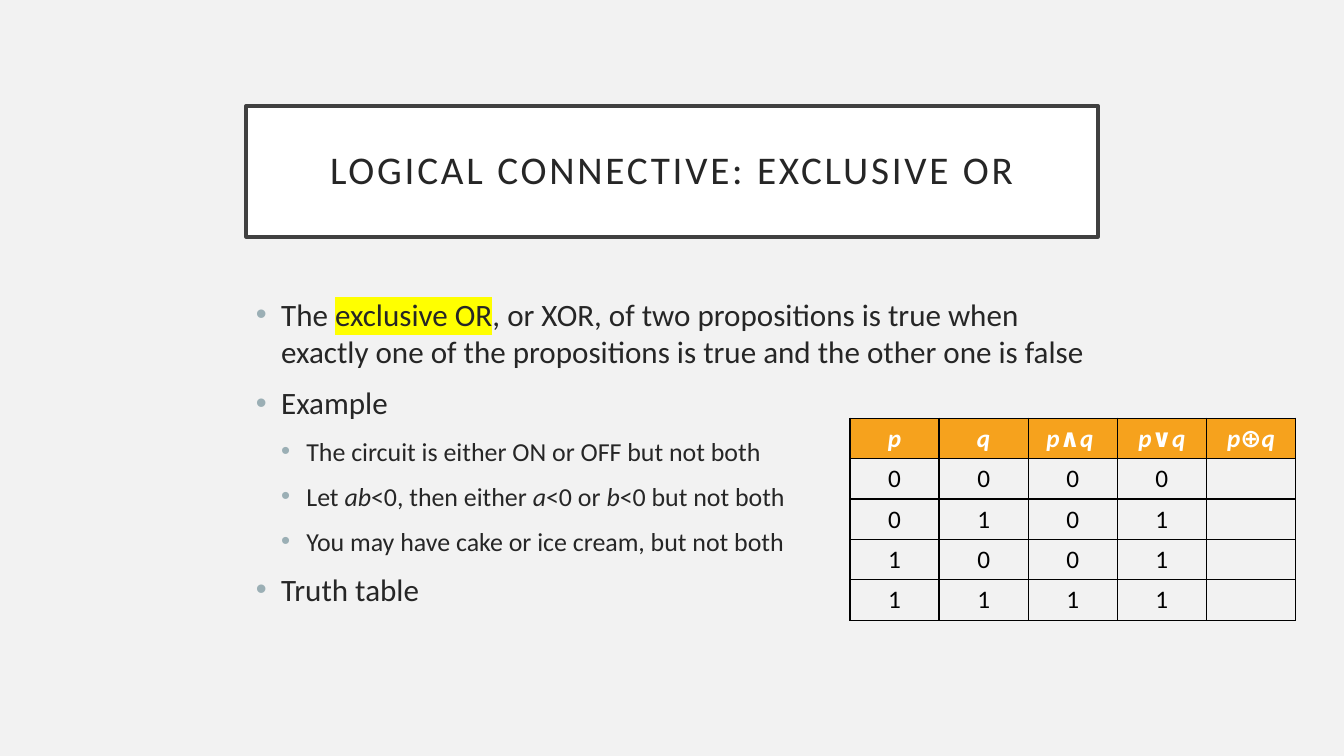
from typing import NamedTuple

from lxml.etree import SubElement
from pptx import Presentation
from pptx.dml.color import RGBColor
from pptx.enum.shapes import MSO_SHAPE
from pptx.enum.text import MSO_ANCHOR, PP_ALIGN
from pptx.oxml import parse_xml
from pptx.oxml.ns import nsdecls, qn
from pptx.util import Inches, Pt

FONT = "Calibri"
BACKGROUND = "F2F2F2"
DARK = "262626"
WHITE = "FFFFFF"
BLACK = "000000"
ORANGE = "F6A21D"
BULLET = "9BAFB5"
YELLOW = "FFFF00"
LEFT, WIDTH = 2.44, 8.45


class Piece(NamedTuple):
    text: str
    italic: bool = False
    highlight: str = ""


class Bullet(NamedTuple):
    level: int
    pieces: list[Piece]


BULLETS = [
    Bullet(0, [
        Piece("The "),
        Piece("exclusive OR", highlight=YELLOW),
        Piece(", or XOR, of two propositions is true when exactly one of "
              "the propositions is true and the other one is false"),
    ]),
    Bullet(0, [Piece("Example")]),
    Bullet(1, [Piece("The circuit is either ON or OFF but not both")]),
    Bullet(1, [
        Piece("Let "), Piece("ab", True), Piece("<0, then either "),
        Piece("a", True), Piece("<0 or "), Piece("b", True),
        Piece("<0 but not both"),
    ]),
    Bullet(1, [Piece("You may have cake or ice cream, but not both")]),
    Bullet(0, [Piece("Truth table")]),
]
LEVEL_SIZES = [22.2, 18.5]

HEADERS = [
    [Piece("p", True)],
    [Piece("q", True)],
    [Piece("p", True), Piece("∧"), Piece("q ", True)],
    [Piece("p", True), Piece("∨"), Piece("q", True)],
    [Piece("p", True), Piece("⊕"), Piece("q", True)],
]
TRUTH_ROWS = [
    [[Piece(str(value))] for value in (p, q, p & q, p | q)] + [[]]
    for p in (0, 1) for q in (0, 1)
]


def rgb(color: str) -> RGBColor:
    return RGBColor.from_string(color)


def add_pieces(p, pieces: list[Piece], size: float, color: str,
               bold: bool = False) -> None:
    for piece in pieces:
        r = p.add_run()
        r.text = piece.text
        r.font.size = Pt(size)
        r.font.bold = bold
        r.font.italic = piece.italic
        r.font.name = FONT
        r.font.color.rgb = rgb(color)
        if piece.highlight:
            r.font._element.find(qn("a:solidFill")).addnext(parse_xml(
                f'<a:highlight {nsdecls("a")}>'
                f'<a:srgbClr val="{piece.highlight}"/></a:highlight>'))


def add_title(s, text: str) -> None:
    sp = s.shapes.add_shape(MSO_SHAPE.RECTANGLE, Inches(LEFT), Inches(1.05),
                            Inches(WIDTH), Inches(1.3))
    sp.shadow.inherit = False
    sp.fill.solid()
    sp.fill.fore_color.rgb = rgb(WHITE)
    sp.line.color.rgb = rgb("404040")
    sp.line.width = Pt(2.5)
    tf = sp.text_frame
    tf.word_wrap = True
    tf.vertical_anchor = MSO_ANCHOR.MIDDLE
    tf.margin_left = tf.margin_right = Inches(0.2)
    tf.margin_top = tf.margin_bottom = Inches(0.2)
    p = tf.paragraphs[0]
    p.alignment = PP_ALIGN.CENTER
    p.line_spacing = 0.9
    add_pieces(p, [Piece(text)], 28, DARK)
    p.runs[0].font._element.set("spc", "200")


def add_bullets(s, bullets: list[Bullet]) -> None:
    tf = s.shapes.add_textbox(Inches(LEFT), Inches(2.88),
                              Inches(WIDTH), Inches(3.39)).text_frame
    tf.word_wrap = True
    for i, bullet in enumerate(bullets):
        p = tf.add_paragraph() if i else tf.paragraphs[0]
        p.level = bullet.level
        pPr = p._p.get_or_add_pPr()
        pPr.set("marL", str(Inches(0.25 * (bullet.level + 1))))
        pPr.set("indent", str(Inches(-0.25)))
        SubElement(SubElement(pPr, qn("a:buClr")),
                   qn("a:srgbClr"), val=BULLET)
        SubElement(pPr, qn("a:buFont"), typeface="Arial")
        SubElement(pPr, qn("a:buChar"), char="•")
        if i:
            p.space_before = Pt(10)
        add_pieces(p, bullet.pieces, LEVEL_SIZES[bullet.level], DARK)


def format_cell(cell, pieces: list[Piece], header: bool) -> None:
    tcPr = cell._tc.get_or_add_tcPr()
    for side in ("L", "R", "T", "B"):
        ln = SubElement(tcPr, qn(f"a:ln{side}"), w=str(Pt(1)))
        SubElement(SubElement(ln, qn("a:solidFill")),
                   qn("a:srgbClr"), val=BLACK)
    cell.fill.solid()
    cell.fill.fore_color.rgb = rgb(ORANGE if header else BACKGROUND)
    p = cell.text_frame.paragraphs[0]
    p.alignment = PP_ALIGN.CENTER
    add_pieces(p, pieces, 18, WHITE if header else BLACK, bold=header)


def add_truth_table(s, rows: list[list[list[Piece]]]) -> None:
    table = s.shapes.add_table(len(rows), len(rows[0]), Inches(8.43),
                               Inches(4.15), Inches(4.42),
                               Inches(0.4 * len(rows))).table
    for i, row in enumerate(rows):
        for j, pieces in enumerate(row):
            format_cell(table.cell(i, j), pieces, header=i == 0)


def main() -> None:
    prs = Presentation()
    prs.slide_width = Inches(13.33)
    prs.slide_height = Inches(7.5)
    s = prs.slides.add_slide(prs.slide_layouts[6])
    s.background.fill.solid()
    s.background.fill.fore_color.rgb = rgb(BACKGROUND)
    add_title(s, "LOGICAL CONNECTIVE: EXCLUSIVE OR")
    add_bullets(s, BULLETS)
    add_truth_table(s, [HEADERS] + TRUTH_ROWS)
    prs.save("out.pptx")


if __name__ == "__main__":
    main()
